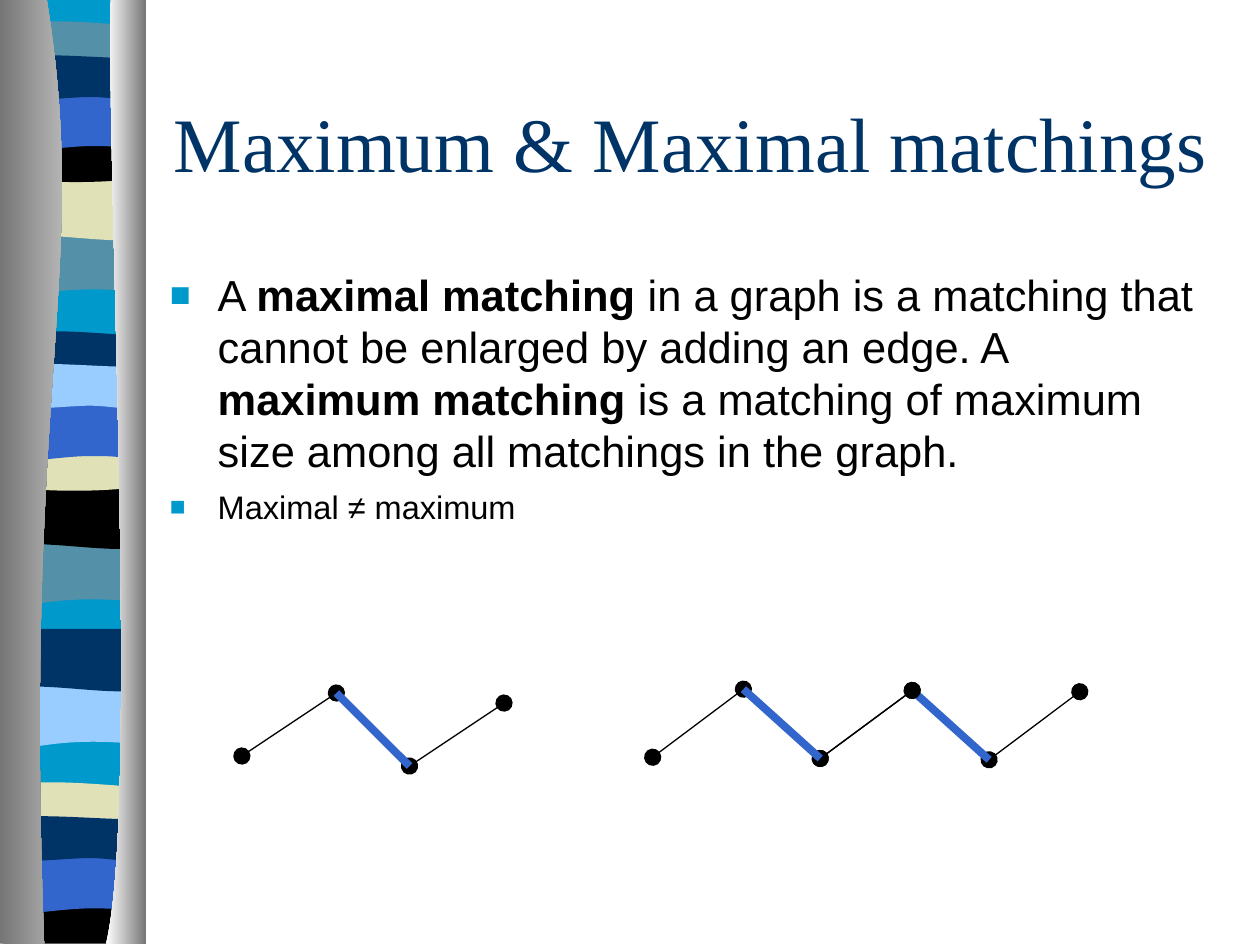
from dataclasses import dataclass

from pptx import Presentation
from pptx.dml.color import RGBColor
from pptx.enum.shapes import MSO_CONNECTOR
from pptx.enum.text import MSO_ANCHOR
from pptx.oxml.ns import qn
from pptx.util import Inches, Pt
from lxml.etree import SubElement


@dataclass(frozen=True)
class Theme:
    navy: str = "003366"
    cyan: str = "0099CC"
    teal: str = "5490A8"
    sand: str = "E1E1B7"
    blue: str = "3366CC"
    sky: str = "99CCFF"
    black: str = "000000"
    grey: str = "767676"
    silver: str = "D2D2D2"
    white: str = "FFFFFF"
    title_font: str = "Times New Roman"
    body_font: str = "Arial"
    title_size: float = 44
    body_size: float = 24.8
    note_size: float = 18.6
    thin: float = 0.75
    thick: float = 4.5


T = Theme()

TITLE = "Maximum & Maximal matchings"
# (size, space before, [(text, bold)])
BULLETS = [
    (T.body_size, 0, [
        ("A ", False),
        ("maximal matching", True),
        (" in a graph is a matching that cannot be enlarged by adding an edge. A ", False),
        ("maximum matching", True),
        (" is a matching of maximum size among all matchings in the graph.", False),
    ]),
    (T.note_size, 6, [("Maximal ≠ maximum", False)]),
]

# Each graph is made of four-vertex paths whose middle edge is matched
GRAPHS = [
    [[(1.92, 6), (2.67, 5.5), (3.25, 6.08), (4, 5.58)]],
    [[(6.51, 6.02), (7.24, 5.48), (7.85, 6.03), (8.57, 5.49)],
     [(5.18, 6.01), (5.9, 5.47), (6.51, 6.02), (7.24, 5.48)]],
]

# Band outlines from the top right corner: a pair is a line, six numbers a curve
W = 1.08
BANDS = {
    "flat": [(W, 0), (W, 7.48), (0, 7.48), (0, 0)],
    "wave": [(W, 0), (W, 0.47), (0.33, 0.39, 0.18, 0.55, 0, 0.47), (0, 0)],
    "swell": [(W, 0), (W, 0.47), (0.9, 0.55, 0.33, 0.42, 0, 0.47), (0, 0)],
    "thin": [(W, 0.05), (W, 0.29), (0.9, 0.33, 0.18, 0.33, 0, 0.29), (0, 0.05),
             (0.06, 0, 0.23, 0.01, 0.41, 0.01), (0.59, 0.01, 0.94, 0.04, W, 0.05)],
    "bowl": [(W, 0), (W, 0.32), (0.9, 0.38, 0.18, 0.38, 0, 0.32), (0, 0),
             (0.66, 0.05, 0.85, 0, W, 0)],
    "arch": [(W, 0), (W, 0.47), (0.91, 0.42, 0.84, 0.42, 0.66, 0.42),
             (0.48, 0.42, 0.16, 0.47, 0, 0.47), (0, 0)],
    "drape": [(W, 0.05), (W, 0.36), (1.01, 0.41, 0.84, 0.36, 0.66, 0.36),
              (0.48, 0.36, 0.11, 0.41, 0, 0.36), (0, 0.05),
              (0.15, 0, 0.73, 0.05, 0.91, 0.05), (1.09, 0.05, 1.05, 0.05, W, 0.05)],
    "foot": [(W, 0), (W, 0.37), (0, 0.37), (0, 0), (0.66, 0.05, 0.85, 0, W, 0)],
}
# (outline, left, top, colour), back to front
RIBBON = [
    ("flat", 0.06, -0.01, T.cyan),
    ("wave", 0.06, 1.85, T.teal), ("swell", 0.06, 1.41, T.sand),
    ("thin", 0.06, 0.16, T.teal), ("bowl", 0.06, 1.08, T.black),
    ("arch", 0.06, 0.74, T.blue), ("drape", 0.06, 0.41, T.navy),
    ("wave", 0.05, 4.31, T.teal), ("swell", 0.05, 3.86, T.black),
    ("thin", 0.05, 2.62, T.navy), ("bowl", 0.05, 3.53, T.sand),
    ("arch", 0.05, 3.2, T.blue), ("drape", 0.05, 2.86, T.sky),
    ("wave", 0.06, 5.44, T.sky), ("swell", 0.06, 4.99, T.navy),
    ("thin", 0.05, 6.2, T.sand), ("foot", 0.05, 7.12, T.black),
    ("arch", 0.05, 6.79, T.blue), ("drape", 0.05, 6.45, T.navy),
]
# (outline, left colour, right colour)
EDGES = [
    ([(0.37, -0.01), (0.72, 2.16, 0.18, 2.96, 0.35, 7.49), (0, 7.49), (0, -0.01)],
     T.grey, T.silver),
    ([(0.88, -0.01), (0.84, 1.25, 1.11, 6.46, 0.84, 7.49), (1.16, 7.49), (1.16, 0)],
     T.white, T.grey),
]


def rgb(color):
    return RGBColor.from_string(color)


def add_outline(shapes, outline, left=0, top=0):
    points = [(Inches(left + seg[i]), Inches(top + seg[i + 1]))
              for seg in outline for i in range(0, len(seg), 2)]
    builder = shapes.build_freeform(*points[0], scale=1.0)
    builder.add_line_segments(points[1:], close=True)
    s = builder.convert_to_shape()
    # Join the three points of each curve into one Bezier segment
    lines = iter(list(s._element.iter(qn("a:lnTo"))))
    for seg in outline[1:]:
        node = next(lines)
        if len(seg) == 6:
            node.tag = qn("a:cubicBezTo")
            for extra in (next(lines), next(lines)):
                node.append(extra[0])
                extra.getparent().remove(extra)
    s.shadow.inherit = False
    s.line.fill.background()
    return s


def add_edge(shapes, start, end, color, width, dots=()):
    s = shapes.add_connector(MSO_CONNECTOR.STRAIGHT,
                             *(Inches(v) for v in start + end))
    s.line.color.rgb = rgb(color)
    s.line.width = Pt(width)
    ln = s.get_or_add_ln()
    for dot in dots:
        SubElement(ln, qn("a:" + dot), type="oval", w="lg", len="lg")
    SubElement(s._element.spPr, qn("a:effectLst"))


def add_text(shapes, *box):
    tf = shapes.add_textbox(*(Inches(v) for v in box)).text_frame
    tf.word_wrap = True
    return tf


def add_run(p, text, font, size, color, bold=False):
    r = p.add_run()
    r.text = text
    r.font.name, r.font.size, r.font.bold = font, Pt(size), bold
    r.font.color.rgb = rgb(color)


def add_bullet(p):
    pPr = p._p.get_or_add_pPr()
    pPr.set("marL", str(Inches(0.38)))
    pPr.set("indent", str(Inches(-0.38)))
    SubElement(SubElement(pPr, qn("a:buClr")), qn("a:srgbClr"), val=T.cyan)
    SubElement(pPr, qn("a:buSzPct"), val="80000")
    SubElement(pPr, qn("a:buFont"), typeface=T.body_font)
    SubElement(pPr, qn("a:buChar"), char="■")


prs = Presentation()
prs.slide_width, prs.slide_height = Inches(10), Inches(7.5)
shapes = prs.slides.add_slide(prs.slide_layouts[6]).shapes

# Ribbon with its two shaded edges
ribbon = shapes.add_group_shape().shapes
for name, left, top, color in RIBBON:
    s = add_outline(ribbon, BANDS[name], left, top)
    s.fill.solid()
    s.fill.fore_color.rgb = rgb(color)
for outline, *colors in EDGES:
    s = add_outline(ribbon, outline)
    s.fill.gradient()
    s.fill.gradient_angle = 0
    for stop, color in zip(s.fill.gradient_stops, colors):
        stop.color.rgb = rgb(color)

# Title
tf = add_text(shapes, 1.28, 0.5, 8.5, 1.25)
tf.vertical_anchor = MSO_ANCHOR.MIDDLE
add_run(tf.paragraphs[0], TITLE, T.title_font, T.title_size, T.navy)

# Bullets
tf = add_text(shapes, 1.25, 2.08, 8.53, 2.33)
for i, (size, before, runs) in enumerate(BULLETS):
    p = tf.add_paragraph() if i else tf.paragraphs[0]
    add_bullet(p)
    p.space_before = Pt(before)
    for text, bold in runs:
        add_run(p, text, T.body_font, size, T.black, bold)

# Graphs: thin edges with vertex dots, then the matched edge
for paths in GRAPHS:
    graph = shapes.add_group_shape().shapes
    for path in paths:
        for i, (start, end) in enumerate(zip(path, path[1:])):
            dots = ("tailEnd",) if i else ("headEnd", "tailEnd")
            add_edge(graph, start, end, T.black, T.thin, dots)
        add_edge(graph, path[1], path[2], T.blue, T.thick)

prs.save("out.pptx")
